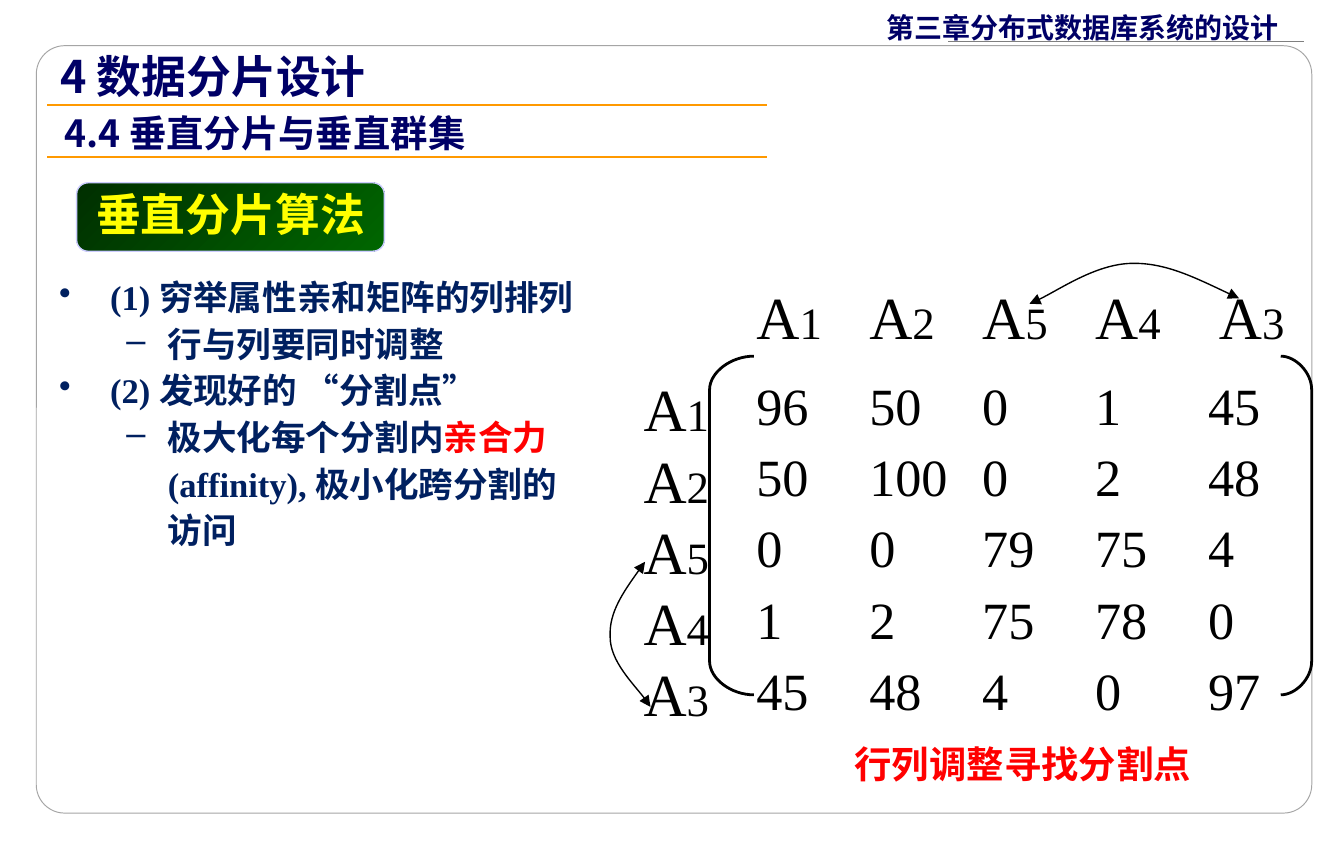
"""Build the slide on vertical fragmentation and its affinity matrix."""
from dataclasses import dataclass
from lxml.etree import SubElement
from pptx import Presentation
from pptx.dml.color import RGBColor
from pptx.enum.shapes import MSO_CONNECTOR, MSO_SHAPE
from pptx.enum.text import MSO_ANCHOR
from pptx.oxml.ns import qn
from pptx.util import Inches, Pt


@dataclass(frozen=True)
class Theme:
    navy: str = "000066"
    blue: str = "002060"
    red: str = "FF0000"
    black: str = "000000"
    white: str = "FFFFFF"
    yellow: str = "FFFF00"
    orange: str = "FF9900"
    pale: str = "CCCCFF"
    gray: str = "7F7F7F"
    silver: str = "A5A5A5"
    dark: str = "002F00"
    green: str = "006600"
    serif: str = "Times New Roman"
    sans: str = "Noto Sans CJK SC"
    head: float = 15
    body: float = 18.5
    topic: float = 20
    title: float = 24
    cell: float = 28
    name: float = 32


class Deck:
    def __init__(self, theme, wide, high):
        self.theme = theme
        self.show = Presentation()
        self.show.slide_width, self.show.slide_height = Inches(wide), Inches(high)
        self.slide = self.show.slides.add_slide(self.show.slide_layouts[6])
        self.shapes = self.slide.shapes

    def fill(self, frame, paras, inset=0.1, anchor=MSO_ANCHOR.TOP, **base):
        form = {"word_wrap": True, "vertical_anchor": anchor,
                "margin_left": Inches(inset), "margin_right": Inches(0.1),
                "margin_top": Inches(0.05), "margin_bottom": Inches(0.05)}
        for key, value in form.items():
            setattr(frame, key, value)
        for at, (runs, style) in enumerate(paras):
            para = frame.paragraphs[0] if at == 0 else frame.add_paragraph()
            self.align(para, first=at == 0, **style)
            for words, extra in runs:
                self.run(para, words, **{**base, **extra})

    def align(self, para, first, space=0.9, level=0, left=0, hang=0, mark=None):
        form = {"level": level, "line_spacing": space,
                "space_before": Pt(0 if first else 5)}
        for key, value in form.items():
            setattr(para, key, value)
        prop = para._p.get_or_add_pPr()
        prop.set("marL", str(Inches(left)))
        prop.set("indent", str(-Inches(hang)))
        if mark:
            tint = SubElement(prop, qn("a:buClr"))
            SubElement(tint, qn("a:srgbClr"), val=self.theme.blue)
            SubElement(prop, qn("a:buChar"), char=mark)

    def run(self, para, words, size, color, face=None, bold=False):
        run = para.add_run()
        run.text = words
        form = {"name": face or self.theme.serif, "size": Pt(size), "bold": bold}
        for key, value in form.items():
            setattr(run.font, key, value)
        run.font.color.rgb = RGBColor.from_string(color)
        SubElement(run._r.get_or_add_rPr(), qn("a:ea"), typeface=self.theme.sans)

    def text(self, box, paras, **base):
        shape = self.shapes.add_textbox(*map(Inches, box))
        self.fill(shape.text_frame, paras, **base)

    def label(self, box, words, space=1.0, **base):
        self.text(box, [([(words, {})], {"space": space})], **base)

    def stroke(self, line, color, width):
        line.color.rgb = RGBColor.from_string(color)
        line.width = Pt(width)

    def panel(self, box, round, fills, color, width):
        shape = self.shapes.add_shape(MSO_SHAPE.ROUNDED_RECTANGLE, *map(Inches, box))
        shape.shadow.inherit = False
        shape.adjustments[0] = round
        self.stroke(shape.line, color, width)
        if len(fills) == 1:
            shape.fill.solid()
            shape.fill.fore_color.rgb = RGBColor.from_string(fills[0])
        else:
            shape.fill.gradient()
            shape.fill.gradient_angle = 315
            for stop, tint in zip(shape.fill.gradient_stops, fills):
                stop.color.rgb = RGBColor.from_string(tint)
        return shape

    def rule(self, x1, x2, y, color, width):
        ends = map(Inches, (x1, y, x2, y))
        line = self.shapes.add_connector(MSO_CONNECTOR.STRAIGHT, *ends)
        self.stroke(line.line, color, width)
        SubElement(line._element.spPr, qn("a:effectLst"))

    def curve(self, points, width, arrows=False):
        start, *rest = [(Inches(x), Inches(y)) for x, y in points]
        maker = self.shapes.build_freeform(*start)
        maker.add_line_segments(rest, close=False)
        shape = maker.convert_to_shape()
        shape.shadow.inherit = False
        shape.fill.background()
        self.stroke(shape.line, self.theme.black, width)
        track = shape._element.find(".//" + qn("a:path"))
        legs = track.findall(qn("a:lnTo"))
        for at in range(0, len(legs), 3):
            bend = SubElement(track, qn("a:cubicBezTo"))
            for leg in legs[at:at + 3]:
                bend.append(leg[0])
                track.remove(leg)
        if arrows:
            for end in ("a:headEnd", "a:tailEnd"):
                SubElement(shape.line._get_or_add_ln(), qn(end), type="triangle")

    def bracket(self, tip, mid, side, top=2.65, base=5.17):
        bend, low, high = 0.13, top + 0.25, base - 0.25
        self.curve([(tip, top), (mid, top), (side, low - bend), (side, low),
                    (side, low), (side, high), (side, high),
                    (side, high + bend), (mid, base), (tip, base)], 1.5)

    def matrix(self, names, rows, left=4.69, top=2.78, wide=0.84, high=0.53):
        look = self.theme
        for col, name in enumerate(names, 1):
            inset = 0.18 if col == len(names) else 0.1
            self.name((left + col * wide, 2.09, wide, 0.69), name, inset)
        for at, (name, row) in enumerate(zip(names, rows)):
            y = top + at * high
            self.name((left, y, wide, high), name)
            for col, value in enumerate(row, 1):
                self.label((left + col * wide, y, wide, high), str(value), 0.9,
                           size=look.cell, color=look.black)

    def name(self, box, name, inset=0.1):
        look = self.theme
        runs = [(name[0], {}), (name[1], {"size": look.title})]
        self.text(box, [(runs, {})], inset=inset, size=look.name, color=look.black)


def main():
    look = Theme()
    deck = Deck(look, 10, 6.28)
    deck.panel((0.27, 0.34, 9.49, 5.71), 0.037, [look.white], look.silver, 0.5)
    bold = {"color": look.navy, "face": look.sans, "bold": True}
    deck.label((6.5, 0.03, 3.15, 0.34), "第三章分布式数据库系统的设计", size=look.head, **bold)
    deck.rule(9.7, 7.05, 0.31, look.gray, 0.75)

    main_point = {"left": 0.38, "hang": 0.38, "mark": "•"}
    wrapped = {"level": 1, "left": 0.81}
    sub_point = {**wrapped, "hang": 0.31, "mark": "–"}
    deck.text((0.35, 2.04, 4.56, 2.39), [
        ([("(1) 穷举属性亲和矩阵的列排列", {})], main_point),
        ([("行与列要同时调整", {})], sub_point),
        ([("(2) 发现好的 “分割点”", {})], main_point),
        ([("极大化每个分割内", {}), ("亲合力", {"color": look.red})], sub_point),
        ([("(affinity), 极小化跨分割的", {})], wrapped),
        ([("访问", {})], wrapped),
    ], inset=0.09, size=look.body, color=look.blue, bold=True)

    badge = deck.panel((0.57, 1.36, 2.29, 0.51), 0.167,
                       [look.dark, look.green], look.pale, 0.75)
    deck.fill(badge.text_frame, [([("垂直分片算法", {})], {})],
              anchor=MSO_ANCHOR.MIDDLE, size=look.title, color=look.yellow, bold=True)

    deck.label((0.38, 0.77, 5.8, 0.44), "4.4 垂直分片与垂直群集", size=look.topic, **bold)
    for y in (0.78, 1.17):
        deck.rule(0.35, 5.71, y, look.orange, 1)
    deck.label((0.35, 0.31, 5, 0.5), "4 数据分片设计", size=look.title, **bold)

    deck.matrix(["A1", "A2", "A5", "A4", "A3"], [
        (96, 50, 0, 1, 45),
        (50, 100, 0, 2, 48),
        (0, 0, 79, 75, 4),
        (1, 2, 75, 78, 0),
        (45, 48, 4, 0, 97),
    ])
    deck.bracket(5.61, 5.44, 5.28)
    deck.bracket(9.53, 9.64, 9.76)
    deck.label((6.26, 5.5, 3.44, 0.4), "行列调整寻找分割点", 0.9,
               size=look.topic, color=look.red, bold=True)
    deck.curve([(4.8, 4.18), (4.66, 4.37), (4.53, 4.56), (4.54, 4.74),
                (4.54, 4.92), (4.79, 5.17), (4.84, 5.26)], 0.75, arrows=True)
    deck.curve([(9.22, 2.22), (8.94, 2.09), (8.67, 1.95), (8.41, 1.96),
                (8.15, 1.97), (7.8, 2.21), (7.66, 2.26)], 0.75, arrows=True)
    deck.show.save("out.pptx")


if __name__ == "__main__":
    main()
